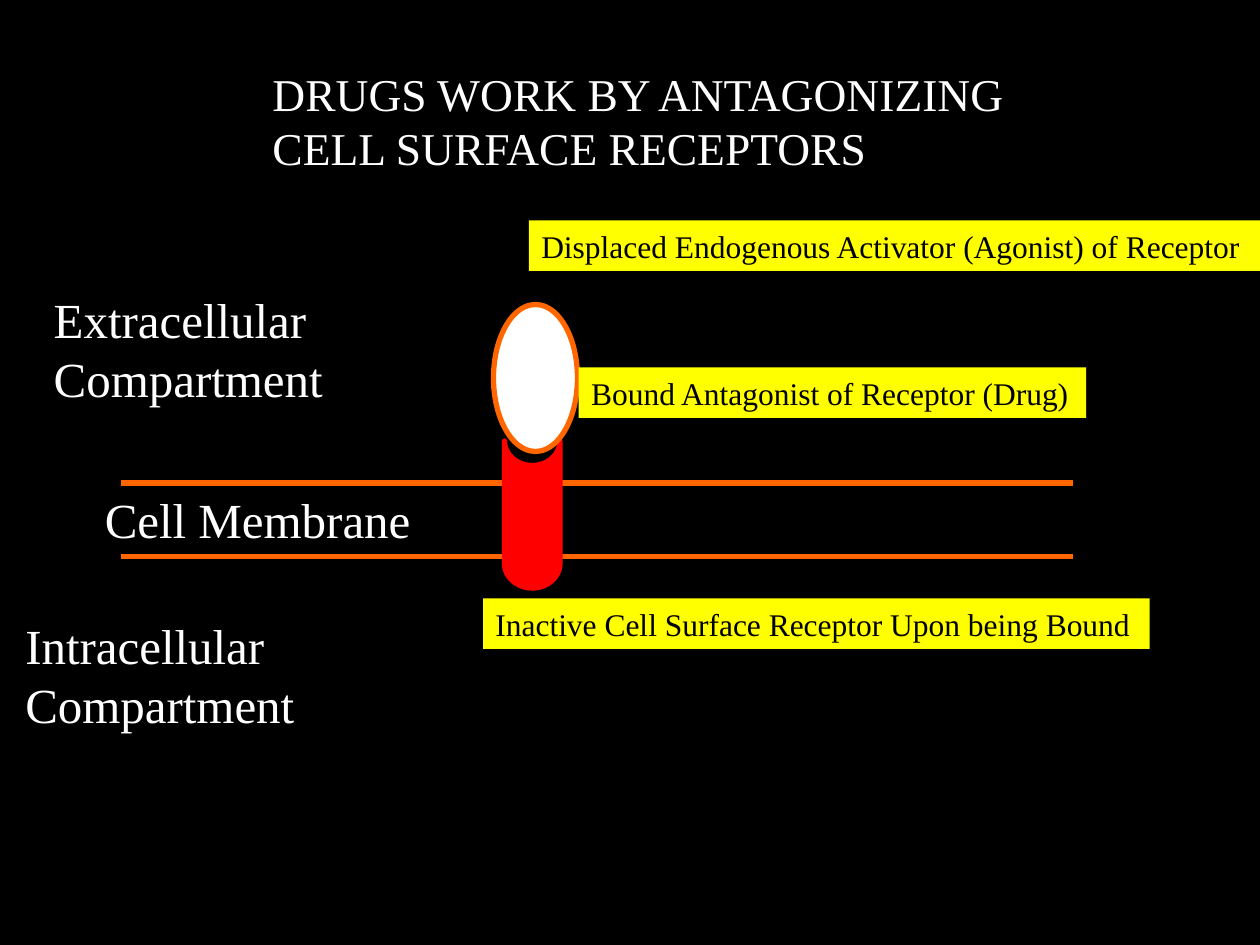
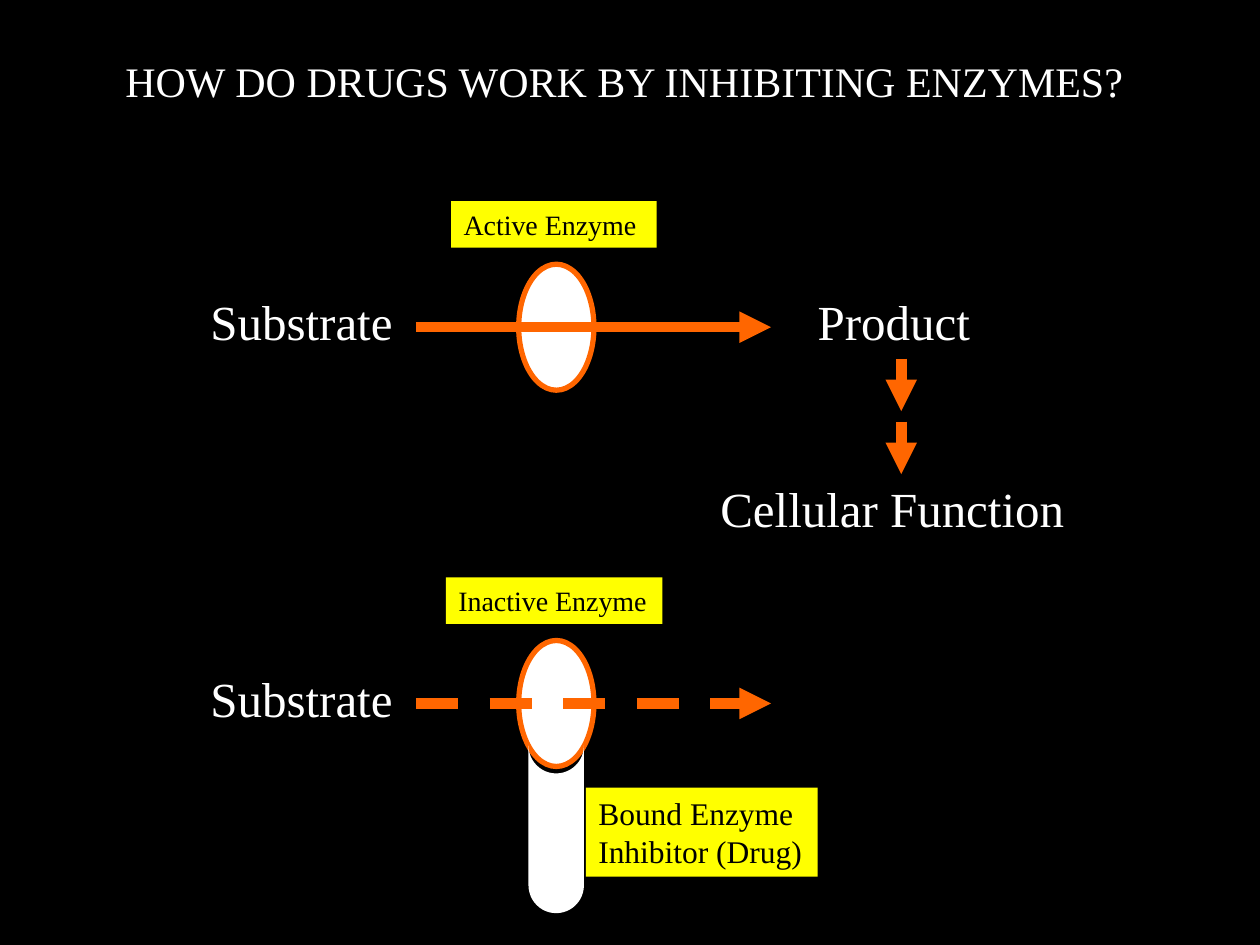
from pptx import Presentation
from pptx.dml.color import RGBColor
from pptx.enum.dml import MSO_LINE
from pptx.enum.shapes import MSO_CONNECTOR, MSO_SHAPE as SHAPE
from pptx.enum.text import MSO_ANCHOR, MSO_AUTO_SIZE, PP_ALIGN
from pptx.oxml.ns import qn
from pptx.util import Pt
from lxml.etree import SubElement

COLOURS = {
    "back": "000000",
    "text": "FFFFFF",
    "accent": "FF6600",
    "label": "FFFF00",
    "label_text": "000000",
    "receptor": "FF0000",
    "white": "FFFFFF",
}
FONT = "Times New Roman"
TITLE_ONLY = 5


def colour(name):
    return RGBColor.from_string(COLOURS[name])


class SlideBuilder:
    """Holds the deck's style and the slide being drawn."""

    def __init__(self):
        self.deck = Presentation()
        self.deck.slide_width, self.deck.slide_height = Pt(720), Pt(540)
        back = self.deck.slide_master.background.fill
        back.solid()
        back.fore_color.rgb = colour("back")
        self.page = None

    def start_slide(self, lines, left, top, width, height, size):
        layout = self.deck.slide_layouts[TITLE_ONLY]
        self.page = self.deck.slides.add_slide(layout)
        title = self.page.shapes.title
        title.left, title.top = Pt(left), Pt(top)
        title.width, title.height = Pt(width), Pt(height)
        self.set_text(title, lines, size, "text")

    def set_text(self, box, lines, size, ink):
        frame = box.text_frame
        frame.word_wrap = True
        frame.auto_size = MSO_AUTO_SIZE.NONE
        frame.vertical_anchor = MSO_ANCHOR.TOP
        frame.text = "\n".join(lines)
        for para in frame.paragraphs:
            para.alignment = PP_ALIGN.LEFT
            para.font.name = FONT
            para.font.size = Pt(size)
            para.font.color.rgb = colour(ink)

    def caption(self, lines, left, top, width, height=41):
        box = self.page.shapes.add_textbox(Pt(left), Pt(top), Pt(width), Pt(height))
        self.set_text(box, lines, 28, "text")

    def shape(self, kind, left, top, width, height, fill, line=None):
        shape = self.page.shapes.add_shape(
            kind, Pt(left), Pt(top), Pt(width), Pt(height))
        shape.shadow.inherit = False
        shape.fill.solid()
        shape.fill.fore_color.rgb = colour(fill)
        if line:
            shape.line.color.rgb = colour(line)
            shape.line.width = Pt(3)
        else:
            shape.line.fill.background()
        return shape

    def label(self, lines, left, top, width, height=28.8, size=18):
        box = self.shape(SHAPE.RECTANGLE, left, top, width, height, "label")
        self.set_text(box, lines, size, "label_text")

    def oval(self, left, top, width, height):
        self.shape(SHAPE.OVAL, left, top, width, height, "white", "accent")

    def upright_cup(self, left, top, width, height, fill, line=None):
        """Stored-data shape turned so that its hollow end faces up."""
        shift = (height - width) / 2
        cup = self.shape(SHAPE.FLOWCHART_STORED_DATA, left - shift, top + shift,
                         height, width, fill, line)
        cup.rotation = 270

    def line(self, x1, y1, x2, y2, width=3, arrow=False, dashed=False):
        connector = self.page.shapes.add_connector(
            MSO_CONNECTOR.STRAIGHT, Pt(x1), Pt(y1), Pt(x2), Pt(y2))
        connector.line.color.rgb = colour("accent")
        connector.line.width = Pt(width)
        if dashed:
            connector.line.dash_style = MSO_LINE.DASH
        if arrow:
            SubElement(connector.get_or_add_ln(), qn("a:tailEnd"), type="triangle")
        SubElement(connector.element.spPr, qn("a:effectLst"))

    def arrow(self, x1, y1, x2, y2, dashed=False):
        self.line(x1, y1, x2, y2, width=6, arrow=True, dashed=dashed)


def draw_receptor_slide(builder):
    builder.start_slide(["DRUGS WORK BY ANTAGONIZING", "CELL SURFACE RECEPTORS"],
                        148.5, 34, 563, 70.5, 26)
    for membrane_y in (276, 318):
        builder.line(69.3, membrane_y, 613.3, membrane_y)
    builder.caption(["Cell Membrane"], 52.8, 276, 191)
    builder.upright_cup(288.3, 252, 31.7, 84, "receptor", "receptor")
    builder.oval(282, 174, 48, 84)
    builder.label(["Displaced Endogenous Activator (Agonist) of Receptor"],
                  302.2, 126, 417.8)
    builder.label(["Inactive Cell Surface Receptor Upon being Bound"], 276, 342, 381)
    builder.label(["Bound Antagonist of Receptor (Drug)"], 330.7, 210, 290)
    builder.caption(["Extracellular", "Compartment"], 23.6, 162, 170, 75)
    builder.caption(["Intracellular", "Compartment"], 7.4, 348, 170, 75)


def draw_enzyme_slide(builder):
    builder.start_slide(["HOW DO DRUGS WORK BY INHIBITING ENZYMES?"],
                        64.4, 28, 590.4, 36.5, 24)
    reactions = (("Active Enzyme", 257.8, 117.4, 115, False),
                 ("Inactive Enzyme", 254.8, 123.8, 330, True))
    for name, left, width, top, blocked in reactions:
        builder.oval(296.4, top + 36, 43, 72)
        builder.label([name], left, top, width, 26.6, 16)
        builder.caption(["Substrate"], 113.2, top + 48.2, 119.5)
        arrow_y = top + 72
        builder.arrow(237.7, arrow_y, 440.6, arrow_y, dashed=blocked)

    builder.caption(["Product"], 460.2, 163.2, 102.5)
    for top in (205, 241):
        builder.arrow(515, top, 515, top + 30)
    builder.caption(["Cellular Function"], 404.6, 270, 213.5)
    builder.upright_cup(302, 426, 31.7, 95.8, "white")
    builder.label(["Bound Enzyme", "Inhibitor (Drug)"], 334.8, 450, 132.4, 51)


def main():
    builder = SlideBuilder()
    draw_receptor_slide(builder)
    draw_enzyme_slide(builder)
    builder.deck.save("out.pptx")


if __name__ == "__main__":
    main()
